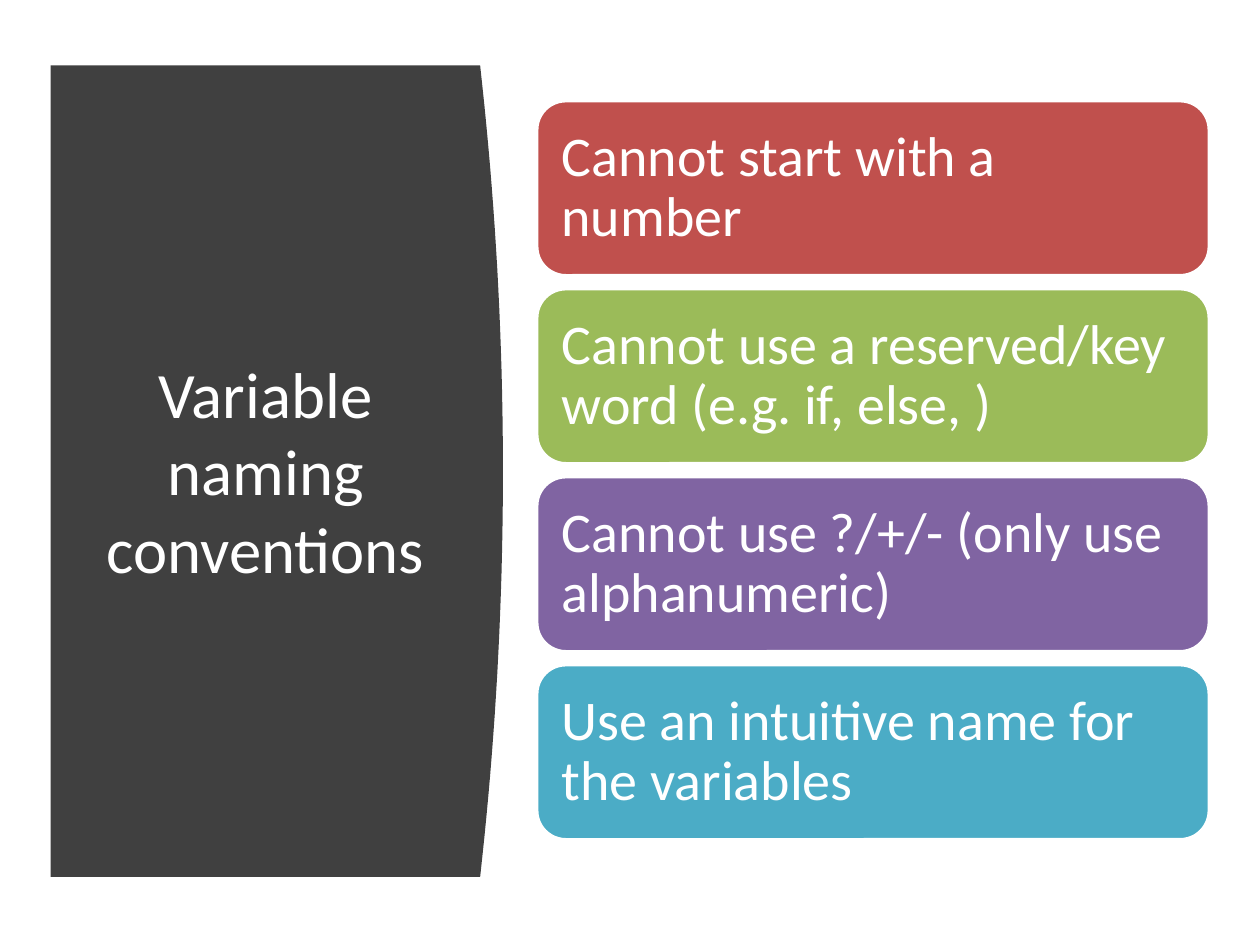
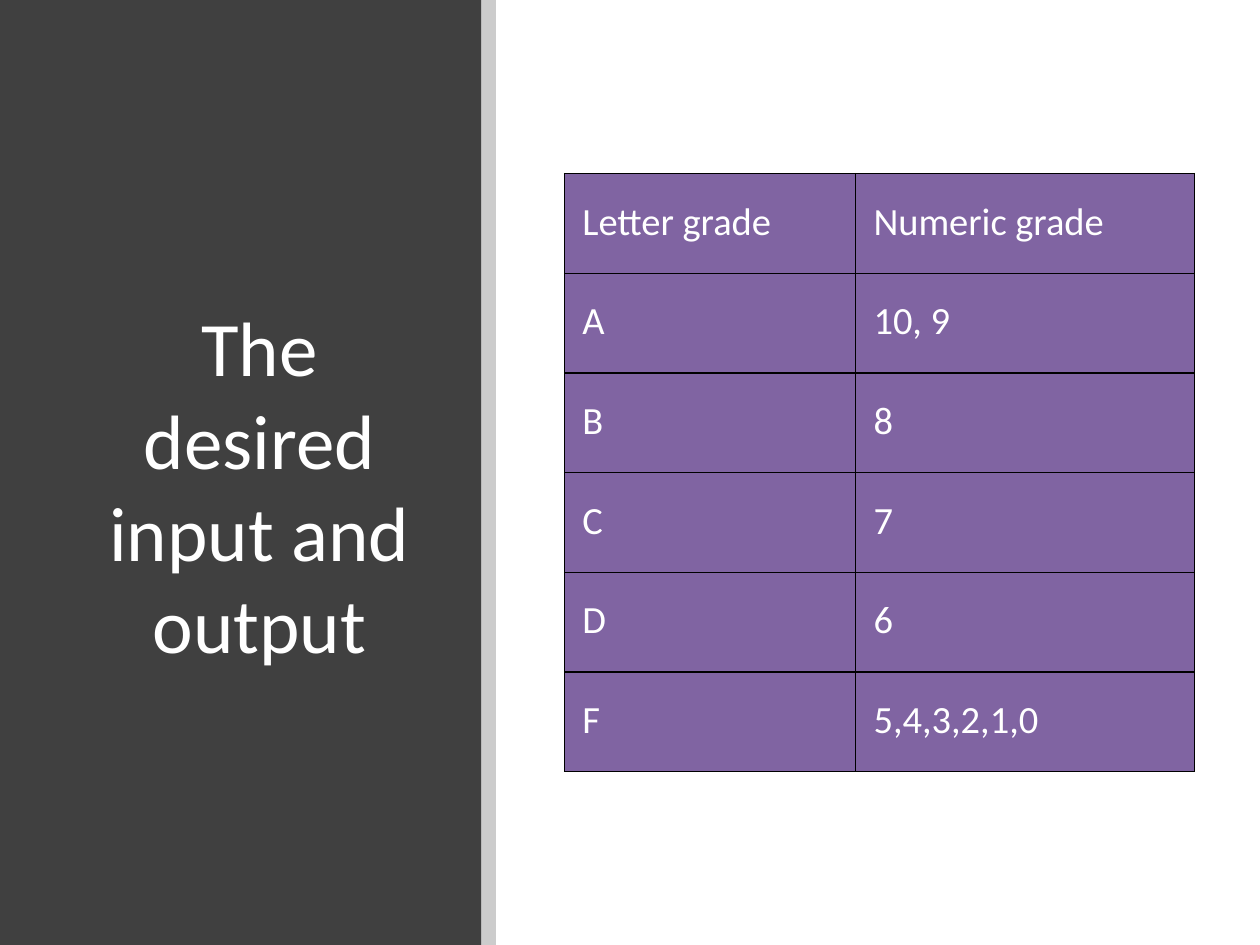
from dataclasses import dataclass

from lxml.etree import SubElement
from pptx import Presentation
from pptx.dml.color import RGBColor
from pptx.enum.shapes import MSO_SHAPE
from pptx.enum.text import MSO_ANCHOR, MSO_AUTO_SIZE, PP_ALIGN
from pptx.oxml.ns import qn
from pptx.shapes.base import BaseShape
from pptx.slide import Slide
from pptx.table import _Cell as Cell
from pptx.text.text import TextFrame
from pptx.util import Cm, Pt

# Shared look
FONT = "Calibri"
WHITE = RGBColor(0xFF, 0xFF, 0xFF)
BLACK = RGBColor(0x00, 0x00, 0x00)
DARK = RGBColor(0x40, 0x40, 0x40)
RED = RGBColor(0xC0, 0x50, 0x4D)
GREEN = RGBColor(0x9B, 0xBB, 0x59)
PURPLE = RGBColor(0x80, 0x64, 0xA2)
TEAL = RGBColor(0x4B, 0xAC, 0xC6)
WIDE, HIGH = 25.4, 19.05


@dataclass(frozen=True)
class Box:
    left: float
    top: float
    width: float
    height: float

    def lengths(self) -> tuple[Cm, Cm, Cm, Cm]:
        return Cm(self.left), Cm(self.top), Cm(self.width), Cm(self.height)


@dataclass(frozen=True)
class Card:
    text: str
    color: RGBColor


CARDS = [
    Card("Cannot start with a number", RED),
    Card("Cannot use a reserved/key word (e.g. if, else, )", GREEN),
    Card("Cannot use ?/+/- (only use alphanumeric)", PURPLE),
    Card("Use an intuitive name for the variables", TEAL),
]
FIRST = Box(10.82, 2.03, 13.56, 3.53)
PITCH = 3.79

GRADES = [
    ("Letter grade", "Numeric grade"),
    ("A", "10, 9"),
    ("B", "8"),
    ("C", "7"),
    ("D", "6"),
    ("F", "5,4,3,2,1,0"),
]
COLS = (5.87, 6.83)
ROW = 2.01


def write(frame: TextFrame, text: str, size: float, align: PP_ALIGN, spacing: float) -> None:
    par = frame.paragraphs[0]
    par.alignment = align
    par.line_spacing = spacing
    run = par.add_run()
    run.text = text
    run.font.name = FONT
    run.font.size = Pt(size)
    run.font.bold = False
    run.font.color.rgb = WHITE


def inset(part: TextFrame | Cell, gap: float) -> None:
    part.margin_left = part.margin_right = Cm(gap)
    part.margin_top = part.margin_bottom = Cm(gap)


def paint(shape: BaseShape, color: RGBColor) -> None:
    shape.shadow.inherit = False
    shape.fill.solid()
    shape.fill.fore_color.rgb = color
    shape.line.fill.background()


def add_block(slide: Slide, kind: MSO_SHAPE, box: Box, color: RGBColor) -> BaseShape:
    shape = slide.shapes.add_shape(kind, *box.lengths())
    paint(shape, color)
    return shape


def set_title(slide: Slide, panel: BaseShape, text: str, size: float, box: Box) -> None:
    title = slide.shapes.title
    title.left, title.top, title.width, title.height = box.lengths()
    frame = title.text_frame
    frame.word_wrap = True
    frame.auto_size = MSO_AUTO_SIZE.NONE
    frame.vertical_anchor = MSO_ANCHOR.MIDDLE
    write(frame, text, size, PP_ALIGN.CENTER, 1.0)
    # The panel lies behind its title
    title.element.addprevious(panel.element)


def add_curve(slide: Slide) -> BaseShape:
    """Panel whose right side bulges as a parabola."""
    left, top, foot, edge, bulge, steps = 1.02, 1.32, 17.68, 9.68, 0.46, 40
    side = []
    for step in range(steps + 1):
        part = step / steps
        bend = 1 - (2 * part - 1) ** 2
        side.append((Cm(edge + bulge * bend), Cm(top + (foot - top) * part)))
    pen = slide.shapes.build_freeform(Cm(left), Cm(top))
    pen.add_line_segments(side + [(Cm(left), Cm(foot))], close=True)
    panel = pen.convert_to_shape()
    paint(panel, DARK)
    return panel


def add_card(slide: Slide, card: Card, box: Box) -> None:
    shape = add_block(slide, MSO_SHAPE.ROUNDED_RECTANGLE, box, card.color)
    shape.line.color.rgb = WHITE
    shape.line.width = Pt(2)
    frame = shape.text_frame
    frame.word_wrap = True
    frame.vertical_anchor = MSO_ANCHOR.MIDDLE
    inset(frame, 0.33)
    write(frame, card.text, 32, PP_ALIGN.LEFT, 0.9)


def frame_cell(cell: Cell) -> None:
    props = cell._tc.get_or_add_tcPr()
    for spot, side in enumerate(("lnL", "lnR", "lnT", "lnB")):
        line = props.makeelement(qn(f"a:{side}"), {"w": str(Pt(1))})
        fill = SubElement(line, qn("a:solidFill"))
        SubElement(fill, qn("a:srgbClr"), val=str(BLACK))
        props.insert(spot, line)


def add_grades(slide: Slide) -> None:
    box = Box(11.38, 3.5, sum(COLS), ROW * len(GRADES))
    table = slide.shapes.add_table(len(GRADES), len(COLS), *box.lengths()).table
    table.first_row = table.horz_banding = False
    for col, width in zip(table.columns, COLS):
        col.width = Cm(width)
    for row, texts in zip(table.rows, GRADES):
        row.height = Cm(ROW)
        for cell, text in zip(row.cells, texts):
            cell.fill.solid()
            cell.fill.fore_color.rgb = PURPLE
            inset(cell, 0.36)
            write(cell.text_frame, text, 22, PP_ALIGN.LEFT, 1.15)
            frame_cell(cell)


def build_rules(slide: Slide) -> None:
    panel = add_curve(slide)
    set_title(slide, panel, "Variable naming conventions", 37, Box(1.8, 2.82, 7.11, 13.31))
    for spot, card in enumerate(CARDS):
        top = FIRST.top + spot * PITCH
        add_card(slide, card, Box(FIRST.left, top, FIRST.width, FIRST.height))


def build_table(slide: Slide) -> None:
    edge = 9.7
    panel = add_block(slide, MSO_SHAPE.RECTANGLE, Box(0, 0, edge, HIGH), DARK)
    set_title(slide, panel, "The desired input and output", 44, Box(1.75, 2.26, 6.96, 15.01))
    # Translucent strip beside the panel
    strip = add_block(slide, MSO_SHAPE.RECTANGLE, Box(edge, 0, 0.3, HIGH), BLACK)
    tint = strip.element.spPr.find(f"{qn('a:solidFill')}/{qn('a:srgbClr')}")
    SubElement(tint, qn("a:alpha"), val="20000")
    add_grades(slide)


def main() -> None:
    deck = Presentation()
    deck.slide_width, deck.slide_height = Cm(WIDE), Cm(HIGH)
    plain = deck.slide_layouts.get_by_name("Title Only")
    for build in (build_rules, build_table):
        build(deck.slides.add_slide(plain))
    deck.save("out.pptx")


if __name__ == "__main__":
    main()
